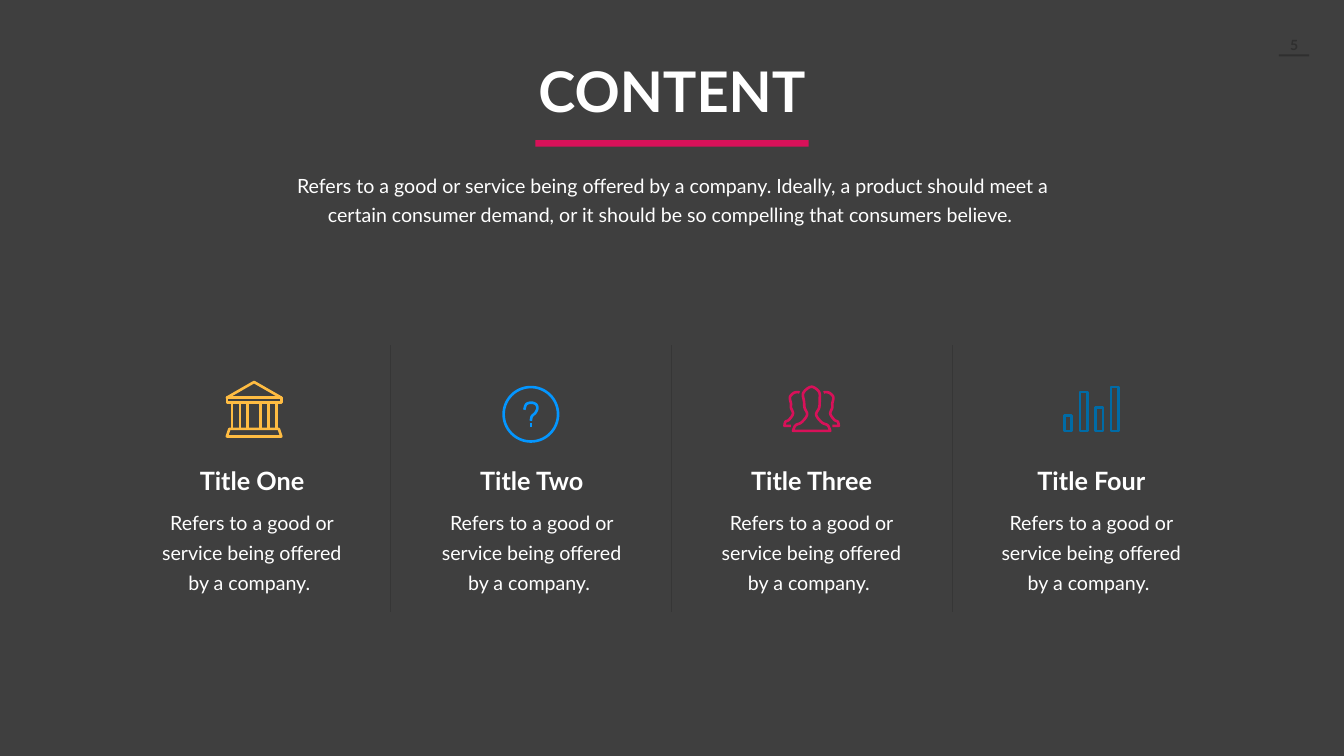
"""Build a content slide with four icon columns."""
import math
from pptx import Presentation
from pptx.dml.color import RGBColor
from pptx.enum import shapes, text
from pptx.util import Inches, Pt

FONT, WHITE, PINK, DARK = "Lato", "FFFFFF", "D81159", "2F2F2F"
HEAD = "CONTENT"
INTRO = ("Refers to a good or service being offered by a company. Ideally, a product should meet a "
         "certain consumer demand, or it should be so compelling that consumers believe. ")
BODY = "Refers to a good or service being offered by a company. "
STEP = 5.55


def box(x, y, w, h):
    return [(x, y), (x + w, y), (x + w, y + h), (x, y + h)]


def curve(pts, n=6):
    """Return points on a smooth curve through pts."""
    ends = [pts[0], *pts, pts[-1]]
    out = [pts[0]]
    for a, b, c, d in zip(ends, ends[1:], ends[2:], ends[3:]):
        for k in range(1, n + 1):
            t = k / n
            out.append(tuple(
                (2 * q + (r - p) * t + (2 * p - 5 * q + 4 * r - s) * t ** 2
                 + (3 * q - p - 3 * r + s) * t ** 3) / 2
                for p, q, r, s in zip(a, b, c, d)))
    return out


def flip(pts):
    return [(1.14 - x, y) for x, y in pts]


BANK = [
    ([(.03, .34), (.57, .03), (1.11, .34)], True),
    (box(.03, .34, 1.08, .1), True),
    ([(.08, .96), (1.06, .96), (1.11, 1.11), (.03, 1.11)], True),
    *[([(x, .44), (x, .96)], False) for x in (.13, .29, .44, .7, .86, 1.01)],
]
RING = [(.57 + .54 * math.cos(math.radians(a)), .57 + .54 * math.sin(math.radians(a)))
        for a in range(0, 360, 5)]
HOOK = [(.44, .48), (.48, .37), (.58, .34), (.67, .37), (.7, .45), (.66, .54),
        (.59, .61), (.57, .7)]
ASK = [(RING, True), (curve(HOOK), False), ([(.57, .74), (.57, .83)], False)]
MAN = [(.2, .9), (.25, .79), (.37, .73), (.48, .58), (.43, .44), (.42, .32), (.4, .16),
       (.5, .05), (.6, .03), (.72, .13), (.73, .28), (.72, .44), (.66, .58), (.77, .73),
       (.89, .79), (.94, .9)]
SIDE = [(.16, .8), (.03, .8)] + curve([
    (.03, .8), (.05, .72), (.12, .68), (.2, .56), (.16, .44), (.16, .36), (.14, .23),
    (.21, .15), (.29, .13), (.33, .14)])
TEAM = [(curve(MAN), True), (SIDE, False), (flip(SIDE), False)]
BARS = [(box(.03 + .31 * i, top, .15, .9 - top), True)
        for i, top in enumerate((.6, .13, .44, .03))]

COLS = [
    ("Title One", "FFBC42", BANK, 4.47, 7.55),
    ("Title Two", "0496FF", ASK, 9.96, 7.65),
    ("Title Three", PINK, TEAM, 15.53, 7.65),
    ("Title Four", "006BA6", BARS, 21.08, 7.65),
]

deck = Presentation()
deck.slide_width, deck.slide_height = Inches(26.66), Inches(15)
page = deck.slides.add_slide(deck.slide_layouts[6])


def tint(fill, hue):
    fill.solid()
    fill.fore_color.rgb = RGBColor.from_string(hue)


def write(words, x, y, w, h, size=28, hue=WHITE, bold=False, lead=None, pad=(.1, .05)):
    frame = page.shapes.add_textbox(*map(Inches, (x, y, w, h))).text_frame
    frame.word_wrap = True
    frame.margin_left = frame.margin_right = Inches(pad[0])
    frame.margin_top = frame.margin_bottom = Inches(pad[1])
    para = frame.paragraphs[0]
    para.alignment = text.PP_ALIGN.CENTER
    if lead:
        para.line_spacing = Pt(lead)
    run = para.add_run()
    run.text = words
    run.font.name, run.font.size, run.font.bold = FONT, Pt(size), bold
    run.font.color.rgb = RGBColor.from_string(hue)


def bar(x, y, w, h, hue):
    rect = page.shapes.add_shape(shapes.MSO_SHAPE.RECTANGLE, *map(Inches, (x, y, w, h)))
    rect.shadow.inherit = False
    tint(rect.fill, hue)
    rect.line.fill.background()


def icon(parts, x, y, hue):
    pen = None
    for pts, shut in parts:
        spots = [(Inches(a), Inches(b)) for a, b in pts]
        if pen is None:
            pen = page.shapes.build_freeform(*spots[0])
        else:
            pen.move_to(*spots[0])
        pen.add_line_segments(spots[1:], close=shut)
    form = pen.convert_to_shape(Inches(x), Inches(y))
    form.shadow.inherit = False
    form.fill.background()
    tint(form.line.fill, hue)
    form.line.width = Pt(3.75)


def rule(x, top, end):
    line = page.shapes.add_connector(
        shapes.MSO_CONNECTOR.STRAIGHT, *map(Inches, (x, top, x, end)))
    tint(line.line.fill, "363636")
    line.line.width = Pt(.5)
    props = line._element.spPr
    props.append(props.makeelement(
        "{http://schemas.openxmlformats.org/drawingml/2006/main}effectLst", {}))


tint(page.background.fill, "3F3F3F")
write("5", 25.37, .68, .6, .45, size=20, hue=DARK, bold=True)
bar(25.37, 1.08, .6, .04, DARK)
write(HEAD, 9.99, 1.08, 6.68, 1.45, size=80, bold=True)
bar(10.62, 2.78, 5.42, .13, PINK)
write(INTRO, 5.7, 3.31, 15.28, 1.19, lead=40.8)
for i, (name, hue, parts, x, y) in enumerate(COLS):
    icon(parts, x, y, hue)
    write(name, 3.5 + STEP * i, 9.18, 3, .71, size=36, bold=True)
    write(BODY, 2.93 + STEP * i, 9.88, 4.13, 1.98, lead=43, pad=(.24, .12))
for i in range(len(COLS) - 1):
    rule(7.73 + 5.58 * i, 6.85, 12.15)

deck.save("out.pptx")
